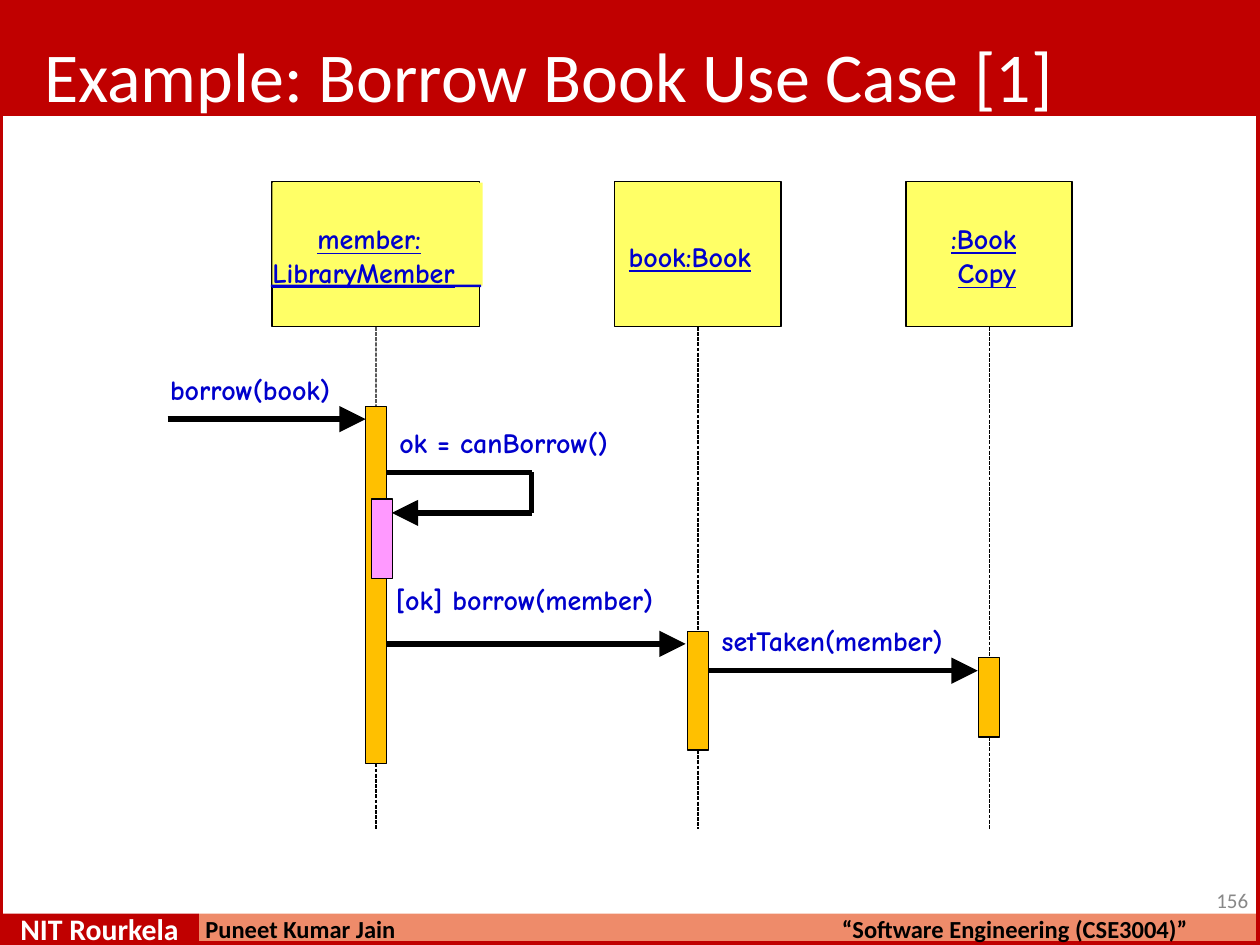
from pptx import Presentation
from pptx.dml.color import RGBColor
from pptx.enum.dml import MSO_LINE
from pptx.enum.shapes import MSO_CONNECTOR, MSO_SHAPE
from pptx.enum.text import MSO_ANCHOR, PP_ALIGN
from pptx.oxml.ns import qn
from pptx.util import Cm, Pt
from lxml.etree import SubElement

RED, YELLOW, AMBER, BLUE, BLACK = "C00000", "FFFF66", "FFC000", "0000CC", "000000"
hue = RGBColor.from_string

deck = Presentation()
deck.slide_width, deck.slide_height = Cm(25.4), Cm(19.05)
slide = deck.slides.add_slide(deck.slide_layouts[6])
shapes = slide.shapes


def box(x, y, w, h, fill=None, edge=None, thick=0.75):
    rect = shapes.add_shape(MSO_SHAPE.RECTANGLE, Cm(x), Cm(y), Cm(w), Cm(h))
    rect.shadow.inherit = False
    if fill:
        rect.fill.solid()
        rect.fill.fore_color.rgb = hue(fill)
    else:
        rect.fill.background()
    if edge:
        rect.line.color.rgb = hue(edge)
        rect.line.width = Pt(thick)
    else:
        rect.line.fill.background()
    return rect


def write(shape, rows, top=0, size=16, color=BLUE, face="Comic Neue",
          bold=True, under=None, space=None, wrap=True):
    """Each row is text, left margin and first-line indent in cm, points before."""
    frame = shape.text_frame
    frame.margin_left = frame.margin_right = frame.margin_bottom = 0
    frame.margin_top = Cm(top)
    frame.vertical_anchor = MSO_ANCHOR.TOP
    frame.word_wrap = wrap
    for i, (words, left, first, before) in enumerate(rows):
        para = frame.add_paragraph() if i else frame.paragraphs[0]
        para.text = words
        para.alignment = PP_ALIGN.LEFT
        props = para._p.get_or_add_pPr()
        props.set("marL", str(Cm(left)))
        props.set("indent", str(Cm(first)))
        if before:
            para.space_before = Pt(before)
        if space:
            para.line_spacing = space
        font = para.font
        font.name, font.size, font.bold, font.underline = face, Pt(size), bold, under
        font.color.rgb = hue(color)


# Slide bands and border
box(0, 0, 25.4, 2.34, RED)
box(4.01, 18.42, 21.39, 0.63, "EE8B6A")
box(0, 18.42, 4.01, 0.63, RED)
box(0, 0, 25.4, 19.05, None, RED, 4)

# Title, page number and footer
for x, y, w, h, words, top, size, color, bold, space in [
    (0.86, 0.61, 20.45, 1.78, "Example: Borrow Book Use Case [1]", 0.05, 40, "FFFFFF", False, None),
    (24.49, 17.86, 0.71, 0.58, "156", 0.03, 12, "888888", False, None),
    (0.38, 18.47, 3.25, 0.66, "NIT Rourkela", 0, 17, "FFFFFF", True, Pt(17.2)),
    (4.11, 18.52, 3.89, 0.56, "Puneet Kumar Jain", 0, 14, BLACK, True, Pt(14.2)),
    (16.94, 18.52, 7.01, 0.56, "“Software Engineering (CSE3004)”", 0, 14, BLACK, True, Pt(14.2)),
]:
    area = shapes.add_textbox(Cm(x), Cm(y), Cm(w), Cm(h))
    write(area, [(words, 0.03, 0, 0)], top, size, color, "Calibri", bold,
          space=space, wrap=False)

# Objects, with the bar that shows when each is active
heads, bars = [], []
for mid, wide, start, tall in [(7.58, 4.19, 8.2, 7.19),
                               (14.07, 3.35, 12.73, 2.39),
                               (19.94, 3.35, 13.26, 1.6)]:
    heads.append(box(mid - wide / 2, 3.66, wide, 2.93, YELLOW, BLACK))
    bars.append(box(mid - 0.21, start, 0.42, tall, AMBER, BLACK))
box(7.49, 10.06, 0.42, 1.6, "FF99FF", BLACK)

# Object names
name = box(5.49, 3.68, 4.24, 2.08, YELLOW)
write(name, [("member: LibraryMember", 0, 0.91, 0)], 0.79, under=True, space=1.01)
box(5.46, 5.74, 4.24, 0.05, BLUE)
write(heads[1], [("book:Book", 0.28, 0, 0)], 1.17, under=True)
write(heads[2], [(":Book", 0.91, 0, 0), ("Copy", 1.04, 0, 0.3)], 0.81, under=True)

# Lifelines above and below each bar
for head, bar in zip(heads, bars):
    mid = bar.left + bar.width // 2
    low = bar.top + bar.height
    upper = shapes.add_connector(MSO_CONNECTOR.STRAIGHT, mid, Cm(6.6), mid, bar.top)
    upper.begin_connect(head, 2)
    upper.end_connect(bar, 0)
    lower = shapes.add_connector(MSO_CONNECTOR.STRAIGHT, mid, low, mid, Cm(16.72))
    lower.begin_connect(bar, 2)
    for life in (upper, lower):
        life.line.color.rgb = hue(BLACK)
        life.line.width = Pt(0.75)
        life.line.dash_style = MSO_LINE.SQUARE_DOT
        SubElement(life._element.spPr, qn("a:effectLst"))

# Messages; the self call takes three lines
for x1, y1, x2, y2, tip in [(3.38, 8.45, 7.37, 8.45, True),
                            (7.78, 9.52, 10.72, 9.52, False),
                            (10.72, 9.52, 10.72, 10.34, False),
                            (10.72, 10.34, 7.9, 10.34, True),
                            (7.78, 12.98, 13.82, 12.98, True),
                            (14.28, 13.52, 19.71, 13.52, True)]:
    call = shapes.add_connector(MSO_CONNECTOR.STRAIGHT, Cm(x1), Cm(y1), Cm(x2), Cm(y2))
    call.line.color.rgb = hue(BLACK)
    call.line.width = Pt(3)
    if tip:
        SubElement(call.line._get_or_add_ln(), qn("a:tailEnd"),
                   type="triangle", w="lg", len="lg")
    SubElement(call._element.spPr, qn("a:effectLst"))

# Message labels
for x, y, w, h, top, rows in [
    (3.4, 7.09, 9.42, 2.21, 0.43,
     [("borrow(book)", 0.03, 0, 0), ("ok = canBorrow()", 4.65, 0, 11.1)]),
    (7.95, 11.56, 11.73, 1.73, 0.18,
     [("[ok] borrow(member)", 0.03, 0, 0), ("setTaken(member)", 6.6, 0, 4.3)]),
]:
    write(shapes.add_textbox(Cm(x), Cm(y), Cm(w), Cm(h)), rows, top)

deck.save("out.pptx")
